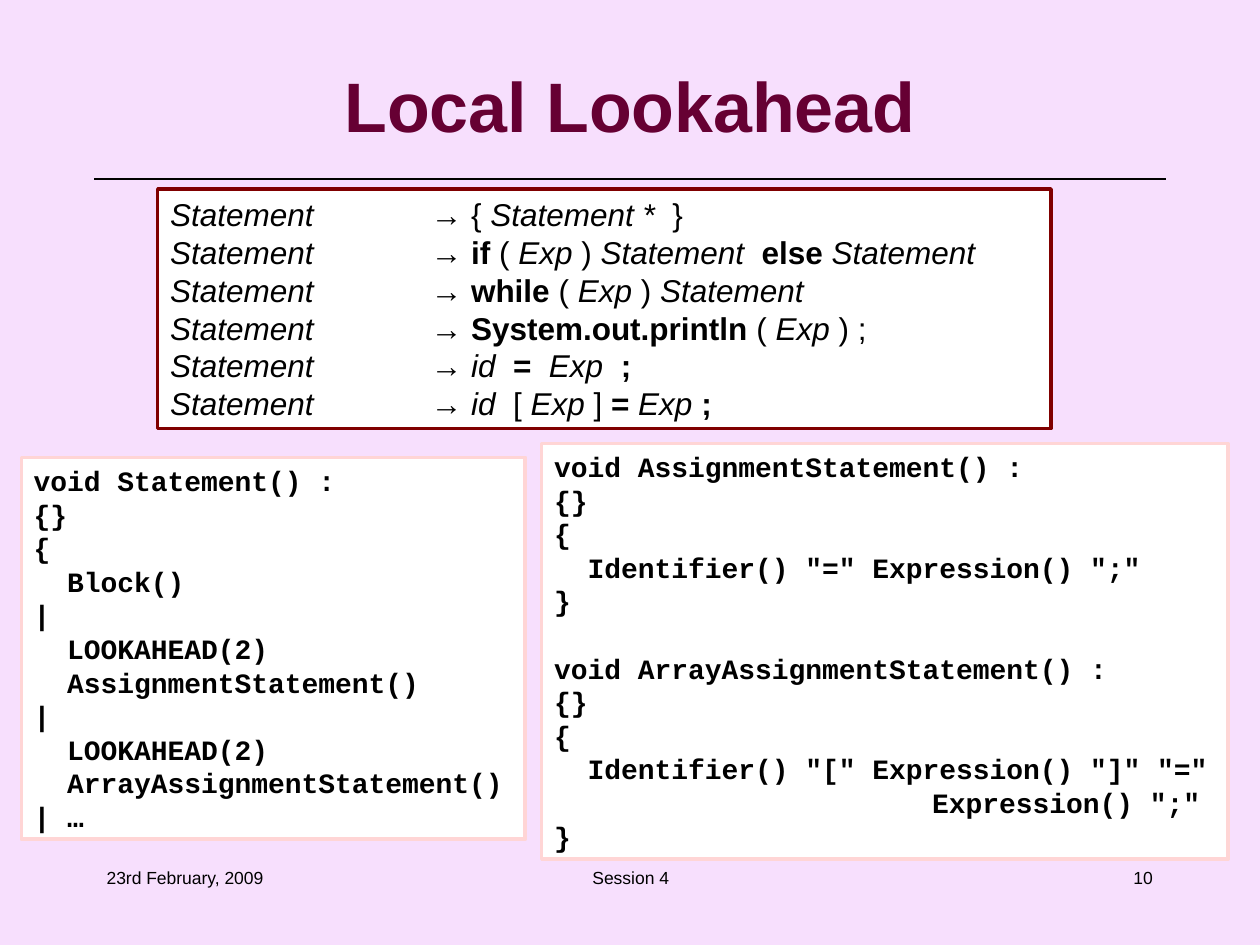
"""Build the Local Lookahead slide: grammar rules above two parser code panels."""
import pptx
import pptx.dml.color
import pptx.enum.shapes
import pptx.enum.text
import pptx.oxml
import pptx.oxml.ns
import pptx.util
from dataclasses import dataclass

Cm, Pt = pptx.util.Cm, pptx.util.Pt
Rgb = pptx.dml.color.RGBColor.from_string
Align = pptx.enum.text.PP_ALIGN
Anchor = pptx.enum.text.MSO_ANCHOR


@dataclass(frozen=True)
class Theme:
    background = Rgb("F7DFFD")
    heading = Rgb("660033")
    ink = Rgb("000000")
    paper = Rgb("FFFFFF")
    grammar_edge = Rgb("800000")
    code_edge = Rgb("FFD5D5")
    heading_size = Pt(40)
    grammar_size = Pt(18)
    code_size = Pt(16)
    footer_size = Pt(10)
    sans = "Arial"
    mono = "Courier New"


theme = Theme()


def write(shape, lines, font, align=Align.LEFT, anchor=Anchor.TOP, tab=None, leading=None):
    frame = shape.text_frame
    frame.word_wrap = True
    frame.vertical_anchor = anchor
    gap = Pt(0)
    for line in lines:
        if not line:
            gap = leading
            continue
        paragraph = frame.paragraphs[0] if line is lines[0] else frame.add_paragraph()
        layout = {"alignment": align, "space_before": gap, "line_spacing": leading}
        for key, value in layout.items():
            setattr(paragraph, key, value)
        gap = Pt(0)
        if tab:
            stops = pptx.oxml.parse_xml(
                f'<a:tabLst {pptx.oxml.ns.nsdecls("a")}><a:tab pos="{tab}" algn="l"/></a:tabLst>')
            paragraph._p.get_or_add_pPr().append(stops)
        for style, words in [("", line)] if isinstance(line, str) else line:
            run = paragraph.add_run()
            run.text = words
            run.font.color.rgb = font.get("color", theme.ink)
            looks = {"name": font["name"], "size": font["size"],
                     "bold": style == "b" or font.get("bold", False), "italic": style == "i"}
            for key, value in looks.items():
                setattr(run.font, key, value)


def panel(left, top, width, height, edge):
    box = slide.shapes.add_shape(pptx.enum.shapes.MSO_SHAPE.RECTANGLE,
                                 Cm(left), Cm(top), Cm(width), Cm(height))
    box.shadow.inherit = False
    box.fill.solid()
    box.fill.fore_color.rgb = theme.paper
    box.line.color.rgb = edge
    box.line.width = Pt(2)
    return box


deck = pptx.Presentation()
deck.slide_width, deck.slide_height = Cm(25.4), Cm(19.05)
slide = deck.slides.add_slide(deck.slide_layouts[6])
slide.background.fill.solid()
slide.background.fill.fore_color.rgb = theme.background

divider = slide.shapes.add_connector(pptx.enum.shapes.MSO_CONNECTOR.STRAIGHT,
                                     Cm(1.9), Cm(3.61), Cm(23.5), Cm(3.61))
divider.line.color.rgb = theme.ink
divider.line.width = Pt(0.75)
divider._element.spPr.append(
    pptx.oxml.parse_xml(f'<a:effectLst {pptx.oxml.ns.nsdecls("a")}/>'))

heading = slide.shapes.add_textbox(Cm(1.27), Cm(0.84), Cm(22.86), Cm(2.54))
heading_font = {"name": theme.sans, "size": theme.heading_size,
                "color": theme.heading, "bold": True}
write(heading, ["Local Lookahead"], heading_font, Align.CENTER, Anchor.MIDDLE)

productions = [
    [("", "{"), ("i", " Statement *  "), ("", "}")],
    [("b", "if"), ("", " ("), ("i", " Exp "), ("", ")"), ("i", " Statement  "),
     ("b", "else"), ("i", " Statement")],
    [("b", "while"), ("", " ("), ("i", " Exp "), ("", ")"), ("i", " Statement")],
    [("b", "System.out.println"), ("", " ( "), ("i", "Exp "), ("", ") ;")],
    [("i", "id  "), ("b", "="), ("i", "  Exp  "), ("b", ";")],
    [("i", "id"), ("", "  ["), ("i", " Exp "), ("", "] "), ("b", "="),
     ("i", " Exp "), ("b", ";")],
]
grammar = panel(3.18, 3.81, 18.01, 4.83, theme.grammar_edge)
write(grammar, [[("i", "Statement\t "), ("", "→ ")] + rule for rule in productions],
      {"name": theme.sans, "size": theme.grammar_size}, tab=Cm(5.08), leading=Pt(21.6))

statement_code = """void Statement() :
{}
{
  Block()
|
  LOOKAHEAD(2)
  AssignmentStatement()
|
  LOOKAHEAD(2)
  ArrayAssignmentStatement()
| …"""

assignment_code = """void AssignmentStatement() :
{}
{
  Identifier() "=" Expression() ";"
}

void ArrayAssignmentStatement() :
{}
{
  Identifier() "[" Expression() "]" "="
\tExpression() ";"
}"""

code_font = {"name": theme.mono, "size": theme.code_size, "bold": True}
for code, place in [(statement_code, (0.43, 9.22, 10.16, 7.7)),
                    (assignment_code, (10.92, 8.94, 13.84, 8.38))]:
    write(panel(*place, theme.code_edge), code.split("\n"), code_font,
          tab=Cm(7.62), leading=Pt(19.2))

for words, left, width, align in [("Session 4", 8.69, 8.05, Align.CENTER),
                                  ("10", 18.21, 5.28, Align.RIGHT),
                                  ("23rd February, 2009", 1.9, 5.28, Align.LEFT)]:
    footer = slide.shapes.add_textbox(Cm(left), Cm(17.35), Cm(width), Cm(1.27))
    write(footer, [words], {"name": theme.sans, "size": theme.footer_size}, align)

deck.save("out.pptx")
